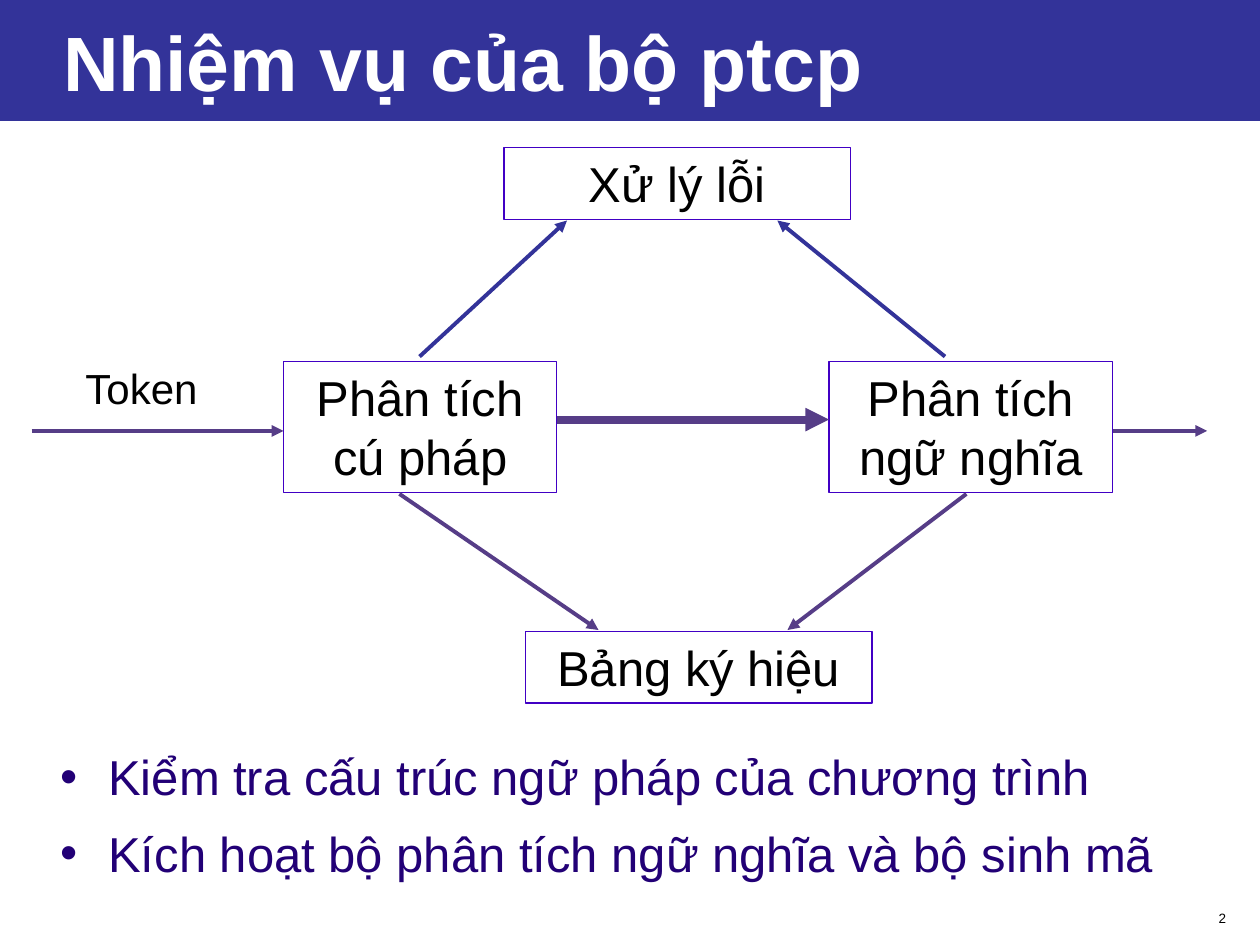
from lxml.etree import SubElement
from pptx import Presentation
from pptx.dml.color import RGBColor
from pptx.enum.shapes import MSO_CONNECTOR, MSO_SHAPE
from pptx.enum.text import MSO_ANCHOR, MSO_AUTO_SIZE, PP_ALIGN
from pptx.oxml.ns import qn
from pptx.util import Inches, Pt

TITLE = "Nhiệm vụ của bộ ptcp"
BULLETS = [
    "Kiểm tra cấu trúc ngữ pháp của chương trình",
    "Kích hoạt bộ phân tích ngữ nghĩa và bộ sinh mã",
]
NAVY, PURPLE, OUTLINE, INDIGO = "333399", "563D87", "4100C4", "220076"
BLACK, WHITE = "000000", "FFFFFF"

STAGES = [
    ("Xử lý lỗi", (4, 1.17, 2.75, 0.57)),
    ("Phân tích cú pháp", (2.25, 2.87, 2.17, 1.04)),
    ("Phân tích ngữ nghĩa", (6.58, 2.87, 2.25, 1.04)),
    ("Bảng ký hiệu", (4.17, 5.01, 2.75, 0.57)),
]
LABELS = [
    ("Token", (0.58, 2.83, 1.5, 0.5), 24, PP_ALIGN.LEFT),
    ("2", (7.75, 7.17, 2.08, 0.24), 7.7, PP_ALIGN.RIGHT),
]
ARROWS = [
    ((0.25, 3.42), (2.25, 3.42), PURPLE, 2.25),
    ((4.42, 3.33), (6.58, 3.33), PURPLE, 4.5),
    ((8.83, 3.42), (9.58, 3.42), PURPLE, 2.25),
    ((3.17, 3.92), (4.75, 5), PURPLE, 2.25),
    ((7.67, 3.92), (6.25, 5), PURPLE, 2.25),
    ((3.33, 2.83), (4.5, 1.75), NAVY, 2.25),
    ((7.5, 2.83), (6.17, 1.75), NAVY, 2.25),
]


def color(value):
    return RGBColor.from_string(value)


def set_all(target, values):
    for name, value in values.items():
        setattr(target, name, value)


def place(shape, box):
    names = ("left", "top", "width", "height")
    set_all(shape, dict(zip(names, map(Inches, box))))


def write(shape, lines, size, ink, align=PP_ALIGN.LEFT, bold=False,
          anchor=MSO_ANCHOR.TOP, inset=0.1):
    frame = shape.text_frame
    frame.text = "\n".join(lines)
    set_all(frame, {
        "word_wrap": True, "auto_size": MSO_AUTO_SIZE.NONE,
        "vertical_anchor": anchor, "margin_left": Inches(inset),
        "margin_right": Inches(0.1), "margin_top": Inches(0.05),
        "margin_bottom": Inches(0.05),
    })
    for paragraph in frame.paragraphs:
        paragraph.alignment = align
        for run in paragraph.runs:
            set_all(run.font, {"name": "Arial", "size": Pt(size), "bold": bold})
            run.font.color.rgb = color(ink)


def add_bullet(paragraph, ink):
    properties = paragraph._p.get_or_add_pPr()
    properties.set("marL", str(Inches(0.38)))
    properties.set("indent", str(Inches(-0.38)))
    bullet_color = SubElement(properties, qn("a:buClr"))
    SubElement(bullet_color, qn("a:srgbClr"), val=ink)
    SubElement(properties, qn("a:buFont"), typeface="Arial")
    SubElement(properties, qn("a:buChar"), char="•")


def add_stage(slide, text, box):
    shape = slide.shapes.add_shape(MSO_SHAPE.RECTANGLE, *map(Inches, box))
    shape.shadow.inherit = False
    shape.fill.background()
    shape.line.color.rgb = color(OUTLINE)
    shape.line.width = Pt(0.75)
    write(shape, [text], 28, BLACK, PP_ALIGN.CENTER)


def add_arrow(slide, start, end, ink, width):
    arrow = slide.shapes.add_connector(
        MSO_CONNECTOR.STRAIGHT, *map(Inches, start + end))
    arrow.line.color.rgb = color(ink)
    arrow.line.width = Pt(width)
    SubElement(arrow.line._get_or_add_ln(), qn("a:tailEnd"), type="triangle")
    SubElement(arrow._element.spPr, qn("a:effectLst"))


def main():
    presentation = Presentation()
    presentation.slide_width = Inches(10)
    presentation.slide_height = Inches(7.5)
    slide = presentation.slides.add_slide(presentation.slide_layouts[1])

    title, body = slide.placeholders
    place(title, (0, 0, 10, 0.96))
    title.fill.solid()
    title.fill.fore_color.rgb = color(NAVY)
    write(title, [TITLE], 44, WHITE, bold=True, anchor=MSO_ANCHOR.MIDDLE, inset=0.5)

    place(body, (0.38, 5.83, 9.29, 1.25))
    write(body, BULLETS, 28, INDIGO)
    for index, paragraph in enumerate(body.text_frame.paragraphs):
        set_all(paragraph, {"line_spacing": 1.1, "space_before": Pt(7 if index else 0)})
        add_bullet(paragraph, INDIGO)

    for text, box in STAGES:
        add_stage(slide, text, box)
    for text, box, size, align in LABELS:
        write(slide.shapes.add_textbox(*map(Inches, box)), [text], size, BLACK, align)
    for arrow in ARROWS:
        add_arrow(slide, *arrow)

    presentation.save("out.pptx")


if __name__ == "__main__":
    main()
